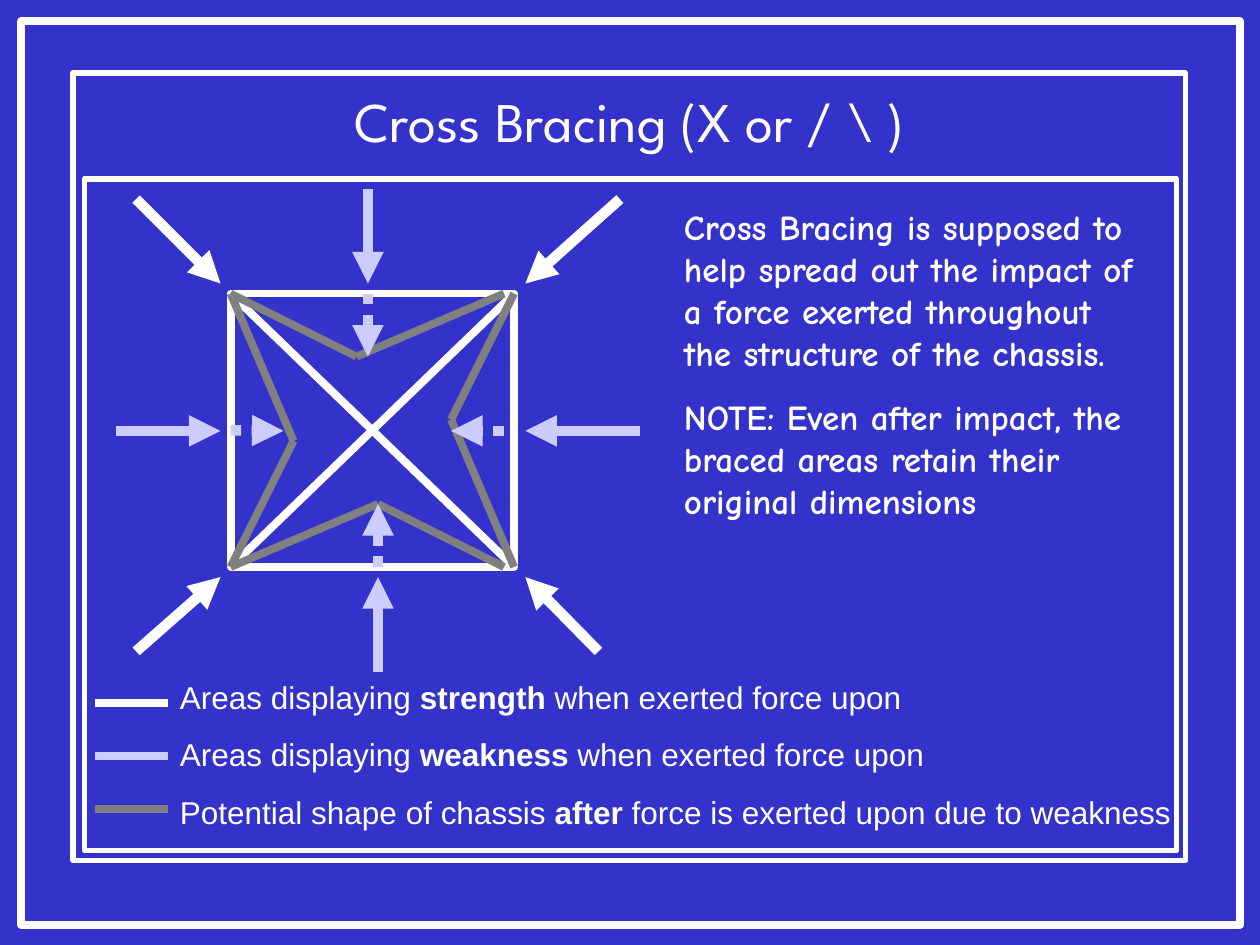
from lxml import etree
from pptx import Presentation
from pptx.dml.color import RGBColor
from pptx.enum import dml, shapes, text
from pptx.oxml import ns
from pptx.util import Inches, Pt

COLORS = {
    "background": "3333CC",
    "strength": "FFFFFF",
    "weakness": "CCCCFF",
    "deformed": "808080",
    "text": "FFFFFF",
}

# Chassis square
LEFT, TOP, RIGHT, BOTTOM = 1.83, 2.33, 4.08, 4.5
MIDDLE = 3.42

# Forces: start, end, colour
FORCES = [
    ((0.92, MIDDLE), (1.75, MIDDLE), "weakness"),
    ((1.08, 5.17), (1.75, 4.58), "strength"),
    ((3, 5.33), (3, 4.58), "weakness"),
    ((4.75, 5.17), (4.17, 4.58), "strength"),
    ((5.08, MIDDLE), (4.17, MIDDLE), "weakness"),
    ((4.92, 1.58), (4.17, 2.25), "strength"),
    ((2.92, 1.5), (2.92, 2.25), "weakness"),
    ((1.08, 1.58), (1.75, 2.25), "strength"),
]

# Dented sides: two corners and the dent point
DENTS = [
    ((RIGHT, TOP), (RIGHT, BOTTOM), (3.58, 3.33)),
    ((4, BOTTOM), (LEFT, BOTTOM), (3, 4)),
    ((LEFT, BOTTOM), (LEFT, TOP), (2.33, 3.5)),
    ((LEFT, TOP), (4, TOP), (2.83, 2.83)),
]

# Forces carried on inside the chassis
INNER_FORCES = [
    ((4, MIDDLE), (3.58, MIDDLE)),
    ((3, BOTTOM), (3, 4)),
    ((2.92, TOP), (2.92, 2.83)),
]

# Legend: colour key, words before, bold word, words after
LEGEND = [
    ("strength", "Areas displaying ", "strength", " when exerted force upon"),
    ("weakness", "Areas displaying ", "weakness", " when exerted force upon"),
    ("deformed", "Potential shape of chassis ", "after",
     " force is exerted upon due to weakness"),
]

NOTES = [
    "Cross Bracing is supposed to help spread out the impact of a force "
    "exerted throughout the structure of the chassis.",
    "NOTE: Even after impact, the braced areas retain their original dimensions",
]


def rgb(key):
    return RGBColor.from_string(COLORS[key])


def add_frame(parent, left, top, width, height, weight):
    frame = parent.add_shape(shapes.MSO_SHAPE.RECTANGLE, Inches(left),
                             Inches(top), Inches(width), Inches(height))
    frame.shadow.inherit = False
    frame.fill.background()
    frame.line.color.rgb = rgb("strength")
    frame.line.width = Pt(weight)
    return frame


def add_line(parent, start, end, color, weight=4.5, arrow=False, dotted=False):
    line = parent.add_connector(shapes.MSO_CONNECTOR.STRAIGHT,
                                *(Inches(v) for v in (*start, *end)))
    line.line.color.rgb = rgb(color)
    line.line.width = Pt(weight)
    if dotted:
        line.line.dash_style = dml.MSO_LINE.ROUND_DOT
    if arrow:
        etree.SubElement(line.line._get_or_add_ln(), ns.qn("a:tailEnd"),
                         type="triangle")
    etree.SubElement(line._element.spPr, ns.qn("a:effectLst"))
    return line


def add_text(parent, box, paragraphs, font, size, bold=False, before=0,
             align=text.PP_ALIGN.LEFT, anchor=text.MSO_ANCHOR.TOP):
    """Each paragraph is a list of runs; every second run has its weight flipped."""
    frame = parent.add_textbox(*(Inches(v) for v in box)).text_frame
    frame.word_wrap = True
    frame.vertical_anchor = anchor
    for number, runs in enumerate(paragraphs):
        paragraph = frame.add_paragraph() if number else frame.paragraphs[0]
        paragraph.alignment = align
        paragraph.space_before = Pt(before)
        for position, words in enumerate(runs):
            run = paragraph.add_run()
            run.text = words
            run.font.name = font
            run.font.size = Pt(size)
            run.font.bold = bold != (position % 2 == 1)
            run.font.color.rgb = rgb("text")


def add_chassis(parent):
    # Square with its cross brace
    chassis = add_frame(parent, LEFT, TOP, RIGHT - LEFT, BOTTOM - TOP, 4.5)
    add_line(parent, (LEFT, TOP), (RIGHT, BOTTOM), "strength")
    add_line(parent, (RIGHT, TOP), (LEFT, BOTTOM), "strength")

    # Outside forces
    for start, end, color in FORCES:
        add_line(parent, start, end, color, weight=6, arrow=True)

    # Shape after impact
    for first, second, dent in DENTS:
        side = parent.add_group_shape().shapes
        for corner in (first, second):
            add_line(side, corner, dent, "deformed")

    # Forces inside the weak sides
    for start, end in INNER_FORCES:
        add_line(parent, start, end, "weakness", 6, arrow=True, dotted=True)
    left_force = add_line(parent, (LEFT, MIDDLE), (2.25, MIDDLE), "weakness", 6,
                          arrow=True, dotted=True)
    left_force.begin_connect(chassis, 1)


def add_legend(parent):
    add_text(parent, (1.33, 5.33, 8.42, 1.32), [row[1:] for row in LEGEND],
             "Arial", 18, before=11.2)
    keys = parent.add_group_shape().shapes
    for number, (color, *_) in enumerate(LEGEND):
        y = 5.58 + 0.42 * number
        add_line(keys, (0.75, y), (1.33, y), color)


def main():
    deck = Presentation()
    deck.slide_width, deck.slide_height = Inches(10), Inches(7.5)
    slide = deck.slides.add_slide(deck.slide_layouts[6])
    slide.background.fill.solid()
    slide.background.fill.fore_color.rgb = rgb("background")
    parts = slide.shapes

    add_chassis(parts)

    # Title, legend and explanation
    add_text(parts, (0.5, 0.33, 9, 1.25), [["Cross Bracing (X or / \\ )"]],
             "League Spartan", 32, align=text.PP_ALIGN.CENTER,
             anchor=text.MSO_ANCHOR.MIDDLE)
    add_legend(parts)
    add_text(parts, (5.33, 1.58, 3.83, 2.61), [[note] for note in NOTES],
             "Comic Neue", 20, bold=True, before=12.5)

    # Borders
    add_frame(parts, 0.17, 0.17, 9.67, 7.17, 4.5)
    add_frame(parts, 0.67, 1.42, 8.67, 5.33, 3)
    add_frame(parts, 0.58, 0.58, 8.83, 6.25, 3)

    deck.save("out.pptx")


if __name__ == "__main__":
    main()
